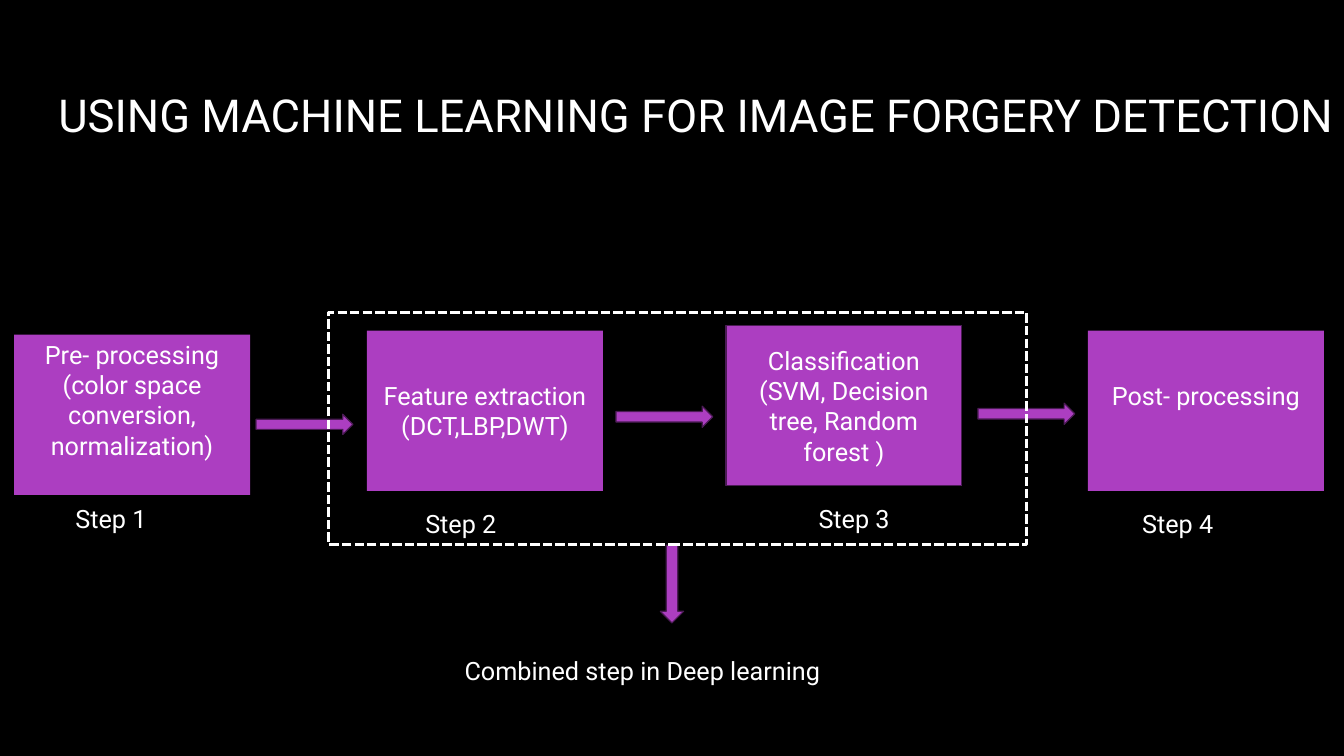
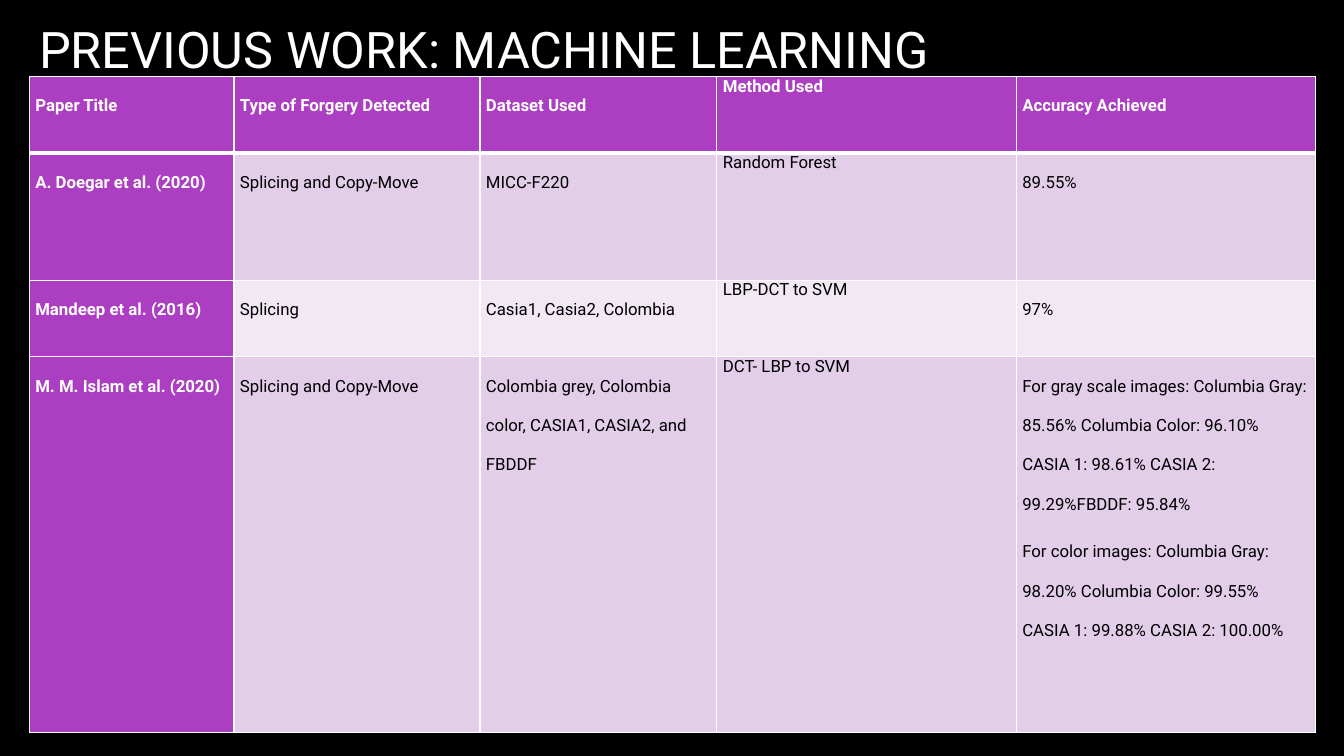
from lxml import etree
from pptx import Presentation
from pptx.dml.color import RGBColor
from pptx.enum.dml import MSO_LINE
from pptx.enum.shapes import MSO_SHAPE
from pptx.enum.text import MSO_ANCHOR, PP_ALIGN
from pptx.oxml.ns import qn
from pptx.util import Inches, Pt

RECTANGLE, RIGHT, DOWN = MSO_SHAPE.RECTANGLE, MSO_SHAPE.RIGHT_ARROW, MSO_SHAPE.DOWN_ARROW
LEFT, CENTER, JUSTIFY = PP_ALIGN.LEFT, PP_ALIGN.CENTER, PP_ALIGN.JUSTIFY
TOP, MIDDLE = MSO_ANCHOR.TOP, MSO_ANCHOR.MIDDLE
DASH = MSO_LINE.SQUARE_DOT

FONT = "Roboto"
COLORS = {
    "black": "000000", "white": "FFFFFF", "purple": "AC3EC1",
    "outline": "4B1B55", "band_dark": "E3CEE9", "band_light": "F1E8F4",
}

# Slide 1: each step has its text, box corner, label corner, outline, and bottom inset
PIPELINE_TITLE = "USING MACHINE LEARNING FOR IMAGE FORGERY DETECTION"
STEPS = [
    (["Pre- processing", "(color space conversion,", "normalization)"],
     (0.14, 3.32), (0.65, 4.94), None, 0.35),
    (["Feature extraction", "(DCT,LBP,DWT)"],
     (3.64, 3.28), (4.12, 4.99), None, 0.05),
    (["Classification", "(SVM, Decision tree, Random forest )"],
     (7.2, 3.23), (8.02, 4.94), "outline", 0.05),
    (["Post- processing"],
     (10.79, 3.28), (11.23, 4.99), None, 0.35),
]
BOX_SIZE = (2.34, 1.59)
LABEL_SIZE = (1.36, 0.4)
ARROWS = [
    (RIGHT, (2.54, 4.11, 0.96, 0.2)),
    (RIGHT, (6.11, 4.03, 0.96, 0.21)),
    (RIGHT, (9.7, 4, 0.96, 0.21)),
    (DOWN, (6.55, 5.41, 0.23, 0.77)),
]
COMBINED_FRAME = (3.26, 3.1, 6.92, 2.3)
COMBINED_NOTE = "Combined step in Deep learning"

# Slide 2: each cell is a list of paragraphs
PAPERS_TITLE = "PREVIOUS WORK: MACHINE LEARNING"
PAPERS = [
    [["Paper Title"], ["Type of Forgery Detected"], ["Dataset Used"],
     ["Method Used"], ["Accuracy Achieved"]],
    [["A. Doegar et al. (2020)"], ["Splicing and Copy-Move"], ["MICC-F220"],
     ["Random Forest"], ["89.55%"]],
    [["Mandeep et al. (2016)"], ["Splicing"], ["Casia1, Casia2, Colombia"],
     ["LBP-DCT to SVM"], ["97%"]],
    [["M. M. Islam et al. (2020)"], ["Splicing and Copy-Move"],
     ["Colombia grey, Colombia color, CASIA1, CASIA2, and FBDDF"],
     ["DCT- LBP to SVM"],
     ["For gray scale images: Columbia Gray: 85.56% Columbia Color: 96.10% "
      "CASIA 1: 98.61% CASIA 2: 99.29%FBDDF: 95.84%",
      "For color images: Columbia Gray: 98.20% Columbia Color: 99.55% "
      "CASIA 1: 99.88% CASIA 2: 100.00%"]],
]
COLUMN_WIDTHS = [2.03, 2.44, 2.35, 2.97, 2.97]
ROW_HEIGHTS = [0.76, 1.26, 0.76, 3.73]
METHOD_COLUMN = 3


def color(name):
    return RGBColor.from_string(COLORS[name])


def inches(lengths):
    return [Inches(length) for length in lengths]


def write(frame, paragraphs, size, ink="white", bold=False, align=LEFT,
          line_spacing=None, space_after=None):
    for index, text in enumerate(paragraphs):
        paragraph = frame.paragraphs[0] if index == 0 else frame.add_paragraph()
        paragraph.alignment = align
        paragraph.line_spacing = line_spacing
        paragraph.space_after = space_after
        run = paragraph.add_run()
        run.text = text
        run.font.name = FONT
        run.font.size = Pt(size)
        run.font.bold = bold
        run.font.color.rgb = color(ink)


def add_text(slide, text, area, size=18, anchor=TOP):
    frame = slide.shapes.add_textbox(*inches(area)).text_frame
    frame.word_wrap = True
    frame.vertical_anchor = anchor
    write(frame, [text], size)


def add_shape(slide, kind, area, fill="purple", line=None, width=0.85):
    shape = slide.shapes.add_shape(kind, *inches(area))
    shape.shadow.inherit = False
    if fill:
        shape.fill.solid()
        shape.fill.fore_color.rgb = color(fill)
    else:
        shape.fill.background()
    if line:
        shape.line.color.rgb = color(line)
        shape.line.width = Pt(width)
    else:
        shape.line.fill.background()
    return shape


def add_slide(deck, title, title_area, title_size):
    slide = deck.slides.add_slide(deck.slide_layouts[6])
    slide.background.fill.solid()
    slide.background.fill.fore_color.rgb = color("black")
    add_text(slide, title, title_area, title_size, MIDDLE)
    return slide


def set_borders(cell, **widths):
    """Draw white borders; widths are points keyed by side: L, R, T, B."""
    properties = cell._tc.get_or_add_tcPr()
    for side, width in widths.items():
        border = etree.SubElement(properties, qn(f"a:ln{side}"), w=str(Pt(width)))
        fill = etree.SubElement(border, qn("a:solidFill"))
        etree.SubElement(fill, qn("a:srgbClr"), val=COLORS["white"])


def build_pipeline(deck):
    slide = add_slide(deck, PIPELINE_TITLE, (0.48, 0.64, 13.05, 0.99), 32.4)
    for number, (lines, corner, label_corner, outline, inset) in enumerate(STEPS, 1):
        frame = add_shape(slide, RECTANGLE, corner + BOX_SIZE, line=outline).text_frame
        frame.word_wrap = True
        frame.vertical_anchor = MIDDLE
        frame.margin_bottom = Inches(inset)
        write(frame, lines, 18, align=CENTER)
        add_text(slide, f"Step {number}", label_corner + LABEL_SIZE)
    for kind, area in ARROWS:
        add_shape(slide, kind, area, line="outline")
    combined = add_shape(slide, RECTANGLE, COMBINED_FRAME, None, "white", 2.25)
    combined.line.dash_style = DASH
    add_text(slide, COMBINED_NOTE, (4.51, 6.45, 4.3, 0.4))


def fill_cell(cell, paragraphs, row, column):
    header = row == 0
    heading = header or column == 0
    set_borders(cell, L=1, R=1, T=3 if row == 1 else 1, B=3 if header else 1)
    cell.fill.solid()
    band = "band_dark" if row % 2 else "band_light"
    cell.fill.fore_color.rgb = color("purple" if heading else band)
    cell.margin_left = cell.margin_right = Inches(0.06)
    cell.margin_top = cell.margin_bottom = 0
    spacing = {}
    if column != METHOD_COLUMN:
        spacing = {"line_spacing": 2.0, "space_after": Pt(6),
                   "align": JUSTIFY if header else LEFT}
    write(cell.text_frame, paragraphs, 12, "white" if heading else "black",
          heading, **spacing)


def build_papers(deck):
    slide = add_slide(deck, PAPERS_TITLE, (0.29, -0.32, 11.08, 1.59), 36)
    area = (0.29, 0.76, sum(COLUMN_WIDTHS), sum(ROW_HEIGHTS))
    table = slide.shapes.add_table(len(PAPERS), len(COLUMN_WIDTHS), *inches(area)).table
    table.horz_banding = False
    for column, width in zip(table.columns, inches(COLUMN_WIDTHS)):
        column.width = width
    for row, height in zip(table.rows, inches(ROW_HEIGHTS)):
        row.height = height
    for row, cells in enumerate(PAPERS):
        for column, paragraphs in enumerate(cells):
            fill_cell(table.cell(row, column), paragraphs, row, column)


def main():
    deck = Presentation()
    deck.slide_width, deck.slide_height = inches((13.33, 7.5))
    build_pipeline(deck)
    build_papers(deck)
    deck.save("out.pptx")


if __name__ == "__main__":
    main()
